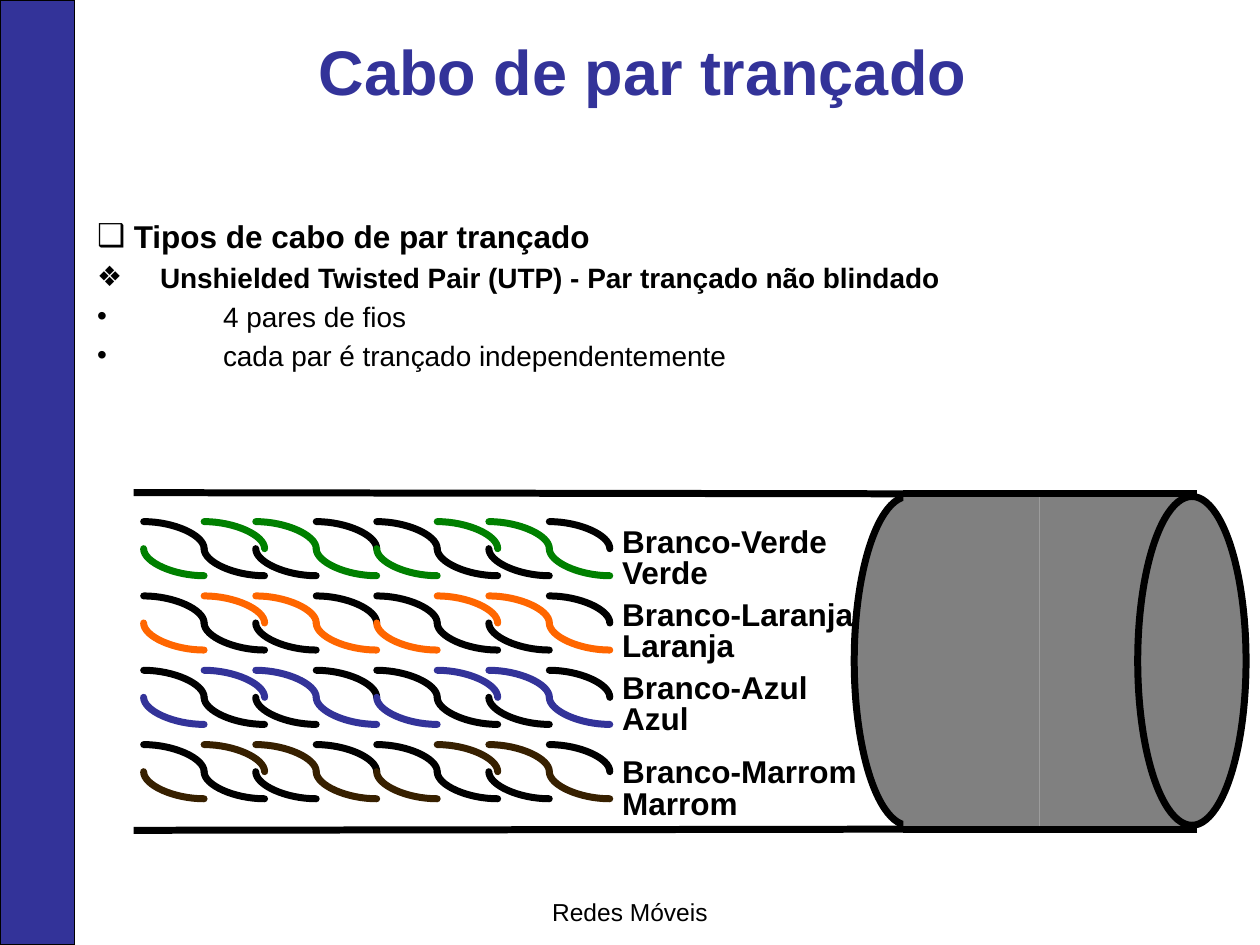
from dataclasses import dataclass

import lxml.etree
import pptx
import pptx.dml.color
import pptx.enum.shapes
import pptx.enum.text
import pptx.oxml.ns
import pptx.util

Inches = pptx.util.Inches
Pt = pptx.util.Pt
qn = pptx.oxml.ns.qn
SHAPE = pptx.enum.shapes.MSO_SHAPE
CONNECTOR = pptx.enum.shapes.MSO_CONNECTOR
ALIGN = pptx.enum.text.PP_ALIGN


@dataclass(frozen=True)
class Theme:
    font: str = "Arial"
    ink: str = "000000"
    accent: str = "333399"
    sheath: str = "808080"
    green: str = "008000"
    orange: str = "FF6600"
    brown: str = "372000"
    title: int = 36
    heading: int = 18
    detail: int = 16
    footer: int = 14
    hairline: float = 0.75
    stroke: float = 4


THEME = Theme()


def rgb(value):
    return pptx.dml.color.RGBColor.from_string(value)


def place(part, box):
    for side, length in zip(("left", "top", "width", "height"), box):
        setattr(part, side, Inches(length))


def write(paragraph, text, size, color=THEME.ink, bold=False):
    run = paragraph.add_run()
    run.text = text
    formats = {"name": THEME.font, "size": Pt(size), "bold": bold}
    for name, value in formats.items():
        setattr(run.font, name, value)
    run.font.color.rgb = rgb(color)


def prepare_frame(frame):
    formats = {
        "word_wrap": True,
        "auto_size": pptx.enum.text.MSO_AUTO_SIZE.NONE,
        "vertical_anchor": pptx.enum.text.MSO_ANCHOR.TOP,
    }
    for name, value in formats.items():
        setattr(frame, name, value)
    return frame


def add_label(shapes, box, text, size, bold=False, align=ALIGN.LEFT):
    label = shapes.add_textbox(*map(Inches, box))
    paragraph = prepare_frame(label.text_frame).paragraphs[0]
    paragraph.alignment = align
    write(paragraph, text, size, bold=bold)


def add_solid(shapes, kind, box, fill, line_width=None):
    solid = shapes.add_shape(kind, *map(Inches, box))
    solid.shadow.inherit = False
    solid.fill.solid()
    solid.fill.fore_color.rgb = rgb(fill)
    if line_width is None:
        solid.line.fill.background()
    else:
        solid.line.color.rgb = rgb(THEME.ink)
        solid.line.width = Pt(line_width)


def add_stroke(shapes, start, end, color=THEME.ink, kind=CONNECTOR.STRAIGHT):
    stroke = shapes.add_connector(kind, *map(Inches, (*start, *end)))
    stroke.line.color.rgb = rgb(color)
    stroke.line.width = Pt(THEME.stroke)
    lxml.etree.SubElement(stroke._element.spPr, qn("a:effectLst"))
    return stroke


def add_arc(shapes, start, end, color):
    """Quarter bend with round ends, leaving its start horizontally."""
    arc = add_stroke(shapes, start, end, color, CONNECTOR.CURVE)
    properties = arc._element.spPr
    properties.find(qn("a:prstGeom")).set("prst", "curvedConnector2")
    properties.find(qn("a:ln")).set("cap", "rnd")


def set_bullet(paragraph, char, margin, indent):
    properties = paragraph._p.get_or_add_pPr()
    properties.set("marL", str(Inches(margin)))
    properties.set("indent", str(Inches(indent)))
    color = lxml.etree.SubElement(properties, qn("a:buClr"))
    lxml.etree.SubElement(color, qn("a:srgbClr")).set("val", THEME.ink)
    lxml.etree.SubElement(properties, qn("a:buChar")).set("char", char)


def fill_title(title, box):
    place(title, box)
    paragraph = prepare_frame(title.text_frame).paragraphs[0]
    paragraph.alignment = ALIGN.CENTER
    write(paragraph, "Cabo de par trançado ", THEME.title, THEME.accent, True)


def fill_topics(body, box):
    place(body, box)
    frame = prepare_frame(body.text_frame)
    # level, bullet, margin, indent, size, bold, text
    topics = [
        (0, "❑", 0, -0.09, THEME.heading, True, " Tipos de cabo de par trançado"),
        (1, "❖", 0.5, -0.5, THEME.detail, True,
         "Unshielded Twisted Pair (UTP) - Par trançado não blindado"),
        (2, "•", 1, -1, THEME.detail, False, "4 pares de fios"),
        (2, "•", 1, -1, THEME.detail, False,
         "cada par é trançado independentemente"),
    ]
    for index, (level, char, margin, indent, size, bold, text) in enumerate(topics):
        paragraph = frame.add_paragraph() if index else frame.paragraphs[0]
        paragraph.level = level
        paragraph.space_before = Pt(3.2 if index else 0)
        set_bullet(paragraph, char, margin, indent)
        write(paragraph, text, size, bold=bold)


def add_twisted_pair(slide, box, color):
    """White wire (drawn black) and coloured wire swap sides along the box."""
    left, top, width, height = box
    arc_width, middle, bottom = 0.48, top + height / 2, top + height
    half_turns = [(0, True), (0.48, False), (0.89, False), (1.37, True)]
    bends = [(left + half + offset, white_on_top)
             for half in (0, width / 2) for offset, white_on_top in half_turns]
    for wire, is_white in ((THEME.ink, True), (color, False)):
        shapes = slide.shapes.add_group_shape().shapes
        for x, white_on_top in bends:
            if white_on_top == is_white:
                add_arc(shapes, (x, top), (x + arc_width, middle), wire)
            else:
                add_arc(shapes, (x + arc_width, bottom), (x, middle), wire)


def add_pairs(slide, box):
    left, top, width, height = box
    pairs = [("Verde", THEME.green, 4.09), ("Laranja", THEME.orange, 4.67),
             ("Azul", THEME.accent, 5.25), ("Marrom", THEME.brown, 5.92)]
    pair_height = 0.43
    pitch = (height - pair_height) / (len(pairs) - 1)
    for row, (name, color, label_top) in enumerate(pairs):
        pair_box = (left, top + row * pitch, width, pair_height)
        add_twisted_pair(slide, pair_box, color)
        for line, text in enumerate((f"Branco-{name}", name)):
            label_box = (left + width, label_top + line * 0.25, 2.16, 0.4)
            add_label(slide.shapes, label_box, text, THEME.heading, bold=True)


def add_jacket(slide, box):
    left, top, width, height = box
    right, bottom = left + width, top + height
    # Stripped part of the jacket
    add_stroke(slide.shapes, (left, top - 0.01), (7.58, top))
    add_stroke(slide.shapes, (left, bottom), (7.67, bottom - 0.01))
    # Closed part: two end ellipses joined by the sheath
    shapes = slide.shapes.add_group_shape().shapes
    seam, cut, end_width = 8.25, 7.17, 0.86
    add_solid(shapes, SHAPE.RECTANGLE, (seam, top, 1.17, height), THEME.sheath)
    for end_left in (9.03, 6.78):
        end_box = (end_left, top + 0.02, end_width, 2.61)
        add_solid(shapes, SHAPE.OVAL, end_box, THEME.sheath, THEME.stroke)
    add_solid(shapes, SHAPE.RECTANGLE, (cut, top, seam - cut, height), THEME.sheath)
    for edge in (top, bottom - 0.01):
        add_stroke(shapes, (right, edge), (cut, edge))


def main():
    deck = pptx.Presentation()
    deck.slide_width, deck.slide_height = Inches(10), Inches(7.5)
    slide = deck.slides.add_slide(deck.slide_layouts[1])
    # Side band and footer
    add_solid(slide.shapes, SHAPE.RECTANGLE, (0, 0, 0.59, 7.5),
              THEME.accent, THEME.hairline)
    add_label(slide.shapes, (0, 7.07, 10, 0.34), "Redes Móveis",
              THEME.footer, align=ALIGN.CENTER)
    # Text
    fill_title(slide.shapes.title, (0.42, 0.21, 9.5, 1.21))
    fill_topics(slide.placeholders[1], (0.67, 1.67, 9.33, 5.31))
    # Cable drawing
    add_pairs(slide, (1.14, 4.14, 3.7, 2.2))
    add_jacket(slide, (1.06, 3.92, 8.44, 2.67))
    deck.save("out.pptx")


if __name__ == "__main__":
    main()
